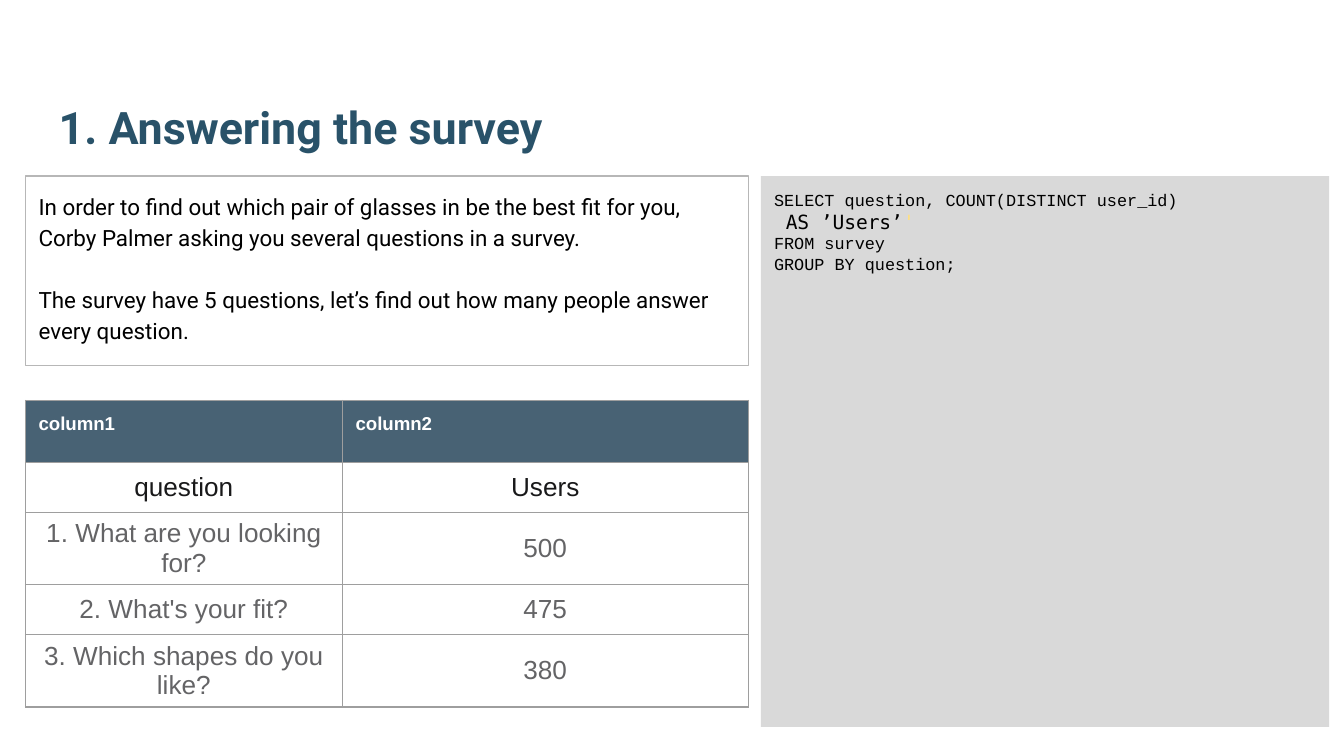
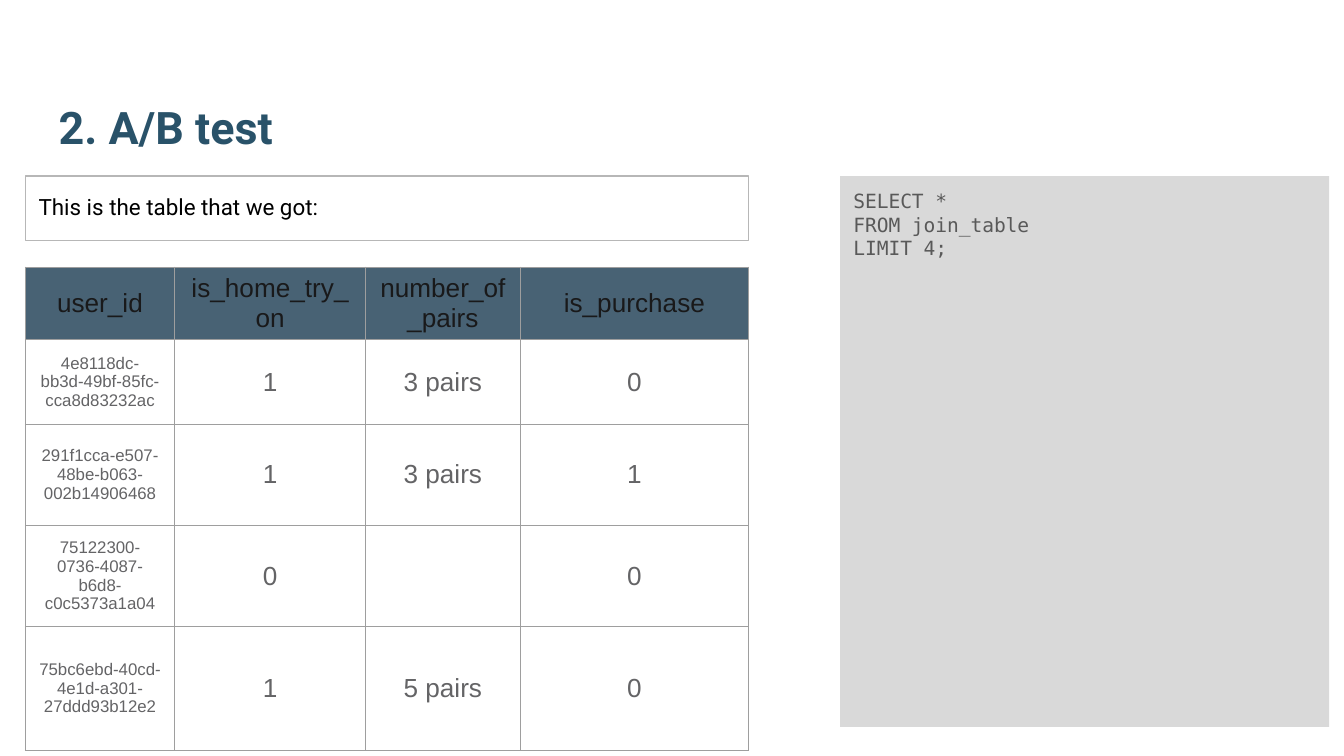
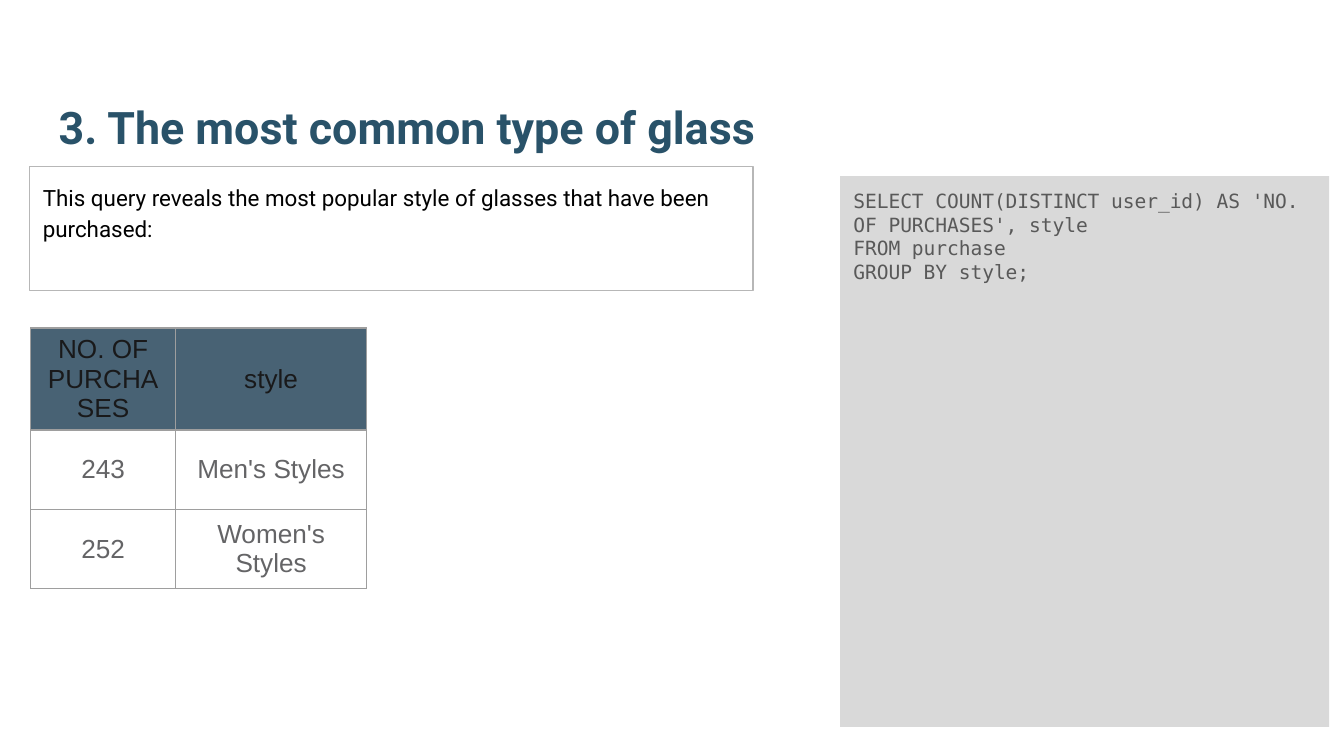
"""Build three slides that pair SQL queries with their result tables."""
from dataclasses import dataclass

from lxml import etree
from pptx import Presentation
from pptx.dml.color import RGBColor
from pptx.enum.shapes import MSO_SHAPE
from pptx.enum.text import MSO_ANCHOR, MSO_AUTO_SIZE, PP_ALIGN
from pptx.oxml.ns import qn
from pptx.util import Cm, Pt

RECTANGLE = MSO_SHAPE.RECTANGLE
TOP, MIDDLE, BOTTOM = MSO_ANCHOR.TOP, MSO_ANCHOR.MIDDLE, MSO_ANCHOR.BOTTOM
LEFT, CENTER = PP_ALIGN.LEFT, PP_ALIGN.CENTER
NO_AUTOFIT = MSO_AUTO_SIZE.NONE


@dataclass(frozen=True)
class Style:
    """Font, size, colour and weight of a run."""
    font: str
    size: float
    color: str
    bold: bool = False


@dataclass(frozen=True)
class Theme:
    """Colours, type and shared measures in centimetres."""
    panel: str = "D9D9D9"
    outline: str = "B7B7B7"
    grid: str = "9E9E9E"
    header: str = "204056"
    header_alpha: int = 82000
    line: float = 0.75
    inset: float = 0.25
    cell_inset: float = 0.13
    paragraph_gap: float = 16.5
    leading: float = 1.15
    title: Style = Style("Roboto", 24, "295269", True)
    body: Style = Style("Roboto", 12, "000000")
    code: Style = Style("DejaVu Sans Mono", 10.5, "595959")
    code_dark: Style = Style("DejaVu Sans Mono", 10.5, "000000")
    code_quote: Style = Style("DejaVu Sans Mono", 10.5, "FFE083")
    code_small: Style = Style("Courier New", 9, "000000")
    banner: Style = Style("Arial", 10, "FFFFFF", True)
    heading: Style = Style("Arial", 14, "19191A")
    value: Style = Style("Arial", 14, "646466")
    identifier: Style = Style("Arial", 9, "646466")


THEME = Theme()
PAGE_SIZE = (25.4, 14.29)
TITLE_AREA = (0.86, 0.81, 23.67, 2.34)
TEXT_WIDTH = 13.67
CODE_TOP, CODE_RIGHT, CODE_HEIGHT = 3.33, 25.12, 10.41

PAGES = [
    {
        "title": "1. Answering the survey",
        "text": [
            "In order to find out which pair of glasses in be the best fit for you, "
            "Corby Palmer asking you several questions in a survey.",
            "The survey have 5 questions, let’s find out how many people answer every question.",
        ],
        "text_at": (0.48, 3.33, 3.58),
        "code": [
            [("SELECT question, COUNT(DISTINCT user_id)", THEME.code_small), None,
             (" AS ’Users’", THEME.code_dark), ("'", THEME.code_quote)],
            [("FROM survey", THEME.code_small)],
            [("GROUP BY question;", THEME.code_small)],
        ],
        "code_left": 14.38,
        "table_at": (0.48, 7.57),
        "columns": [5.99, 7.67],
        "rows": [
            (1.17, THEME.banner, ["column1", "column2"]),
            (0.94, THEME.heading, ["question", "Users"]),
            (0.94, THEME.value, ["1. What are you looking for?", "500"]),
            (0.94, THEME.value, ["2. What's your fit?", "475"]),
            (0.94, THEME.value, ["3. Which shapes do you like?", "380"]),
        ],
        "first_column": THEME.value,
    },
    {
        "title": "2. A/B test",
        "text": ["This is the table that we got:"],
        "text_at": (0.48, 3.33, 1.22),
        "code": [[(line, THEME.code)] for line in ("SELECT *", "FROM join_table", "LIMIT 4;")],
        "code_left": 15.88,
        "table_at": (0.48, 5.05),
        "columns": [2.82, 3.61, 2.92, 4.32],
        "rows": [
            (1.3, THEME.heading, ["user_id", "is_home_try_on", "number_of_pairs", "is_purchase"]),
            (1.6, THEME.value, ["4e8118dc-bb3d-49bf-85fc-cca8d83232ac", "1", "3 pairs", "0"]),
            (1.91, THEME.value, ["291f1cca-e507-48be-b063-002b14906468", "1", "3 pairs", "1"]),
            (1.91, THEME.value, ["75122300-0736-4087-b6d8-c0c5373a1a04", "0", "", "0"]),
            (2.34, THEME.value, ["75bc6ebd-40cd-4e1d-a301-27ddd93b12e2", "1", "5 pairs", "0"]),
        ],
        "first_column": THEME.identifier,
    },
    {
        "title": "3. The most common type of glass",
        "text": ["This query reveals the most popular style of glasses that have been purchased:"],
        "text_at": (0.56, 3.15, 2.34),
        "code": [[(line, THEME.code)] for line in (
            "SELECT COUNT(DISTINCT user_id) AS 'NO. OF PURCHASES', style",
            "FROM purchase", "GROUP BY style;")],
        "code_left": 15.88,
        "table_at": (0.58, 6.2),
        "columns": [2.74, 3.61],
        "rows": [
            (1.19, THEME.heading, ["NO. OF PURCHASES", "style"]),
            (1.5, THEME.value, ["243", "Men's Styles"]),
            (1.5, THEME.value, ["252", "Women's Styles"]),
        ],
        "first_column": THEME.value,
    },
]


def add_span(para, text, style):
    """Add one styled run to a paragraph."""
    span = para.add_run()
    span.text = text
    span.font.name = style.font
    span.font.size = Pt(style.size)
    span.font.bold = style.bold
    span.font.color.rgb = RGBColor.from_string(style.color)


def fill_frame(frame, lines, anchor, leading=1.0, gap=0):
    """Write lines of runs into a text frame; None breaks a line."""
    frame.word_wrap = True
    frame.auto_size = NO_AUTOFIT
    frame.vertical_anchor = anchor
    frame.margin_left = frame.margin_right = Cm(THEME.inset)
    frame.margin_top = frame.margin_bottom = Cm(THEME.inset)
    for index, line in enumerate(lines):
        para = frame.add_paragraph() if index else frame.paragraphs[0]
        para.alignment = LEFT
        para.line_spacing = leading
        if index < len(lines) - 1:
            para.space_after = Pt(gap)
        for part in line:
            if part is None:
                para.add_line_break()
            else:
                add_span(para, *part)


def add_title(page, text):
    """Place and fill the title placeholder."""
    title = page.shapes.title
    title.left, title.top, title.width, title.height = map(Cm, TITLE_AREA)
    fill_frame(title.text_frame, [[(text, THEME.title)]], BOTTOM)


def add_box(page, area, fill=None, outline=None):
    """Add a rectangle with an optional fill and outline."""
    box = page.shapes.add_shape(RECTANGLE, *map(Cm, area))
    box.shadow.inherit = False
    if fill:
        box.fill.solid()
        box.fill.fore_color.rgb = RGBColor.from_string(fill)
    else:
        box.fill.background()
    if outline:
        box.line.color.rgb = RGBColor.from_string(outline)
        box.line.width = Pt(THEME.line)
    else:
        box.line.fill.background()
    return box


def format_cell(cell, is_header):
    """Set the fill and the four borders of a cell."""
    if is_header:
        cell.fill.solid()
        cell.fill.fore_color.rgb = RGBColor.from_string(THEME.header)
    else:
        cell.fill.background()
    properties = cell._tc.get_or_add_tcPr()
    for color in properties.iter(qn("a:srgbClr")):
        etree.SubElement(color, qn("a:alpha"), val=str(THEME.header_alpha))
    for index, side in enumerate(("lnL", "lnR", "lnT", "lnB")):
        border = etree.Element(qn(f"a:{side}"), w=str(Pt(THEME.line)))
        solid = etree.SubElement(border, qn("a:solidFill"))
        etree.SubElement(solid, qn("a:srgbClr"), val=THEME.grid)
        properties.insert(index, border)


def add_result(page, content):
    """Add the query result as a table."""
    columns, rows = content["columns"], content["rows"]
    left, top = content["table_at"]
    area = (left, top, sum(columns), sum(row[0] for row in rows))
    table = page.shapes.add_table(len(rows), len(columns), *map(Cm, area)).table
    table.first_row = table.horz_banding = False
    for column, width in zip(table.columns, columns):
        column.width = Cm(width)
    for row_index, (height, row_style, texts) in enumerate(rows):
        table.rows[row_index].height = Cm(height)
        is_banner = row_style == THEME.banner
        for column_index, text in enumerate(texts):
            cell = table.cell(row_index, column_index)
            format_cell(cell, row_index == 0)
            cell.margin_left = cell.margin_right = Cm(THEME.inset)
            cell.margin_top = cell.margin_bottom = Cm(THEME.inset if is_banner else THEME.cell_inset)
            cell.vertical_anchor = TOP if is_banner else MIDDLE
            para = cell.text_frame.paragraphs[0]
            para.alignment = LEFT if is_banner else CENTER
            is_key = column_index == 0 and row_style == THEME.value
            if text:
                add_span(para, text, content["first_column"] if is_key else row_style)


def add_page(deck, content):
    """Add one slide with title, text, result table and query."""
    page = deck.slides.add_slide(deck.slide_layouts[5])
    add_title(page, content["title"])
    left, top, height = content["text_at"]
    text_box = add_box(page, (left, top, TEXT_WIDTH, height), outline=THEME.outline)
    lines = [[(text, THEME.body)] for text in content["text"]]
    fill_frame(text_box.text_frame, lines, TOP, THEME.leading, THEME.paragraph_gap)
    add_result(page, content)
    code_left = content["code_left"]
    code_area = (code_left, CODE_TOP, CODE_RIGHT - code_left, CODE_HEIGHT)
    code_box = add_box(page, code_area, fill=THEME.panel)
    fill_frame(code_box.text_frame, content["code"], TOP)


def main():
    """Build and save the deck."""
    deck = Presentation()
    deck.slide_width, deck.slide_height = map(Cm, PAGE_SIZE)
    for content in PAGES:
        add_page(deck, content)
    deck.save("out.pptx")


if __name__ == "__main__":
    main()
